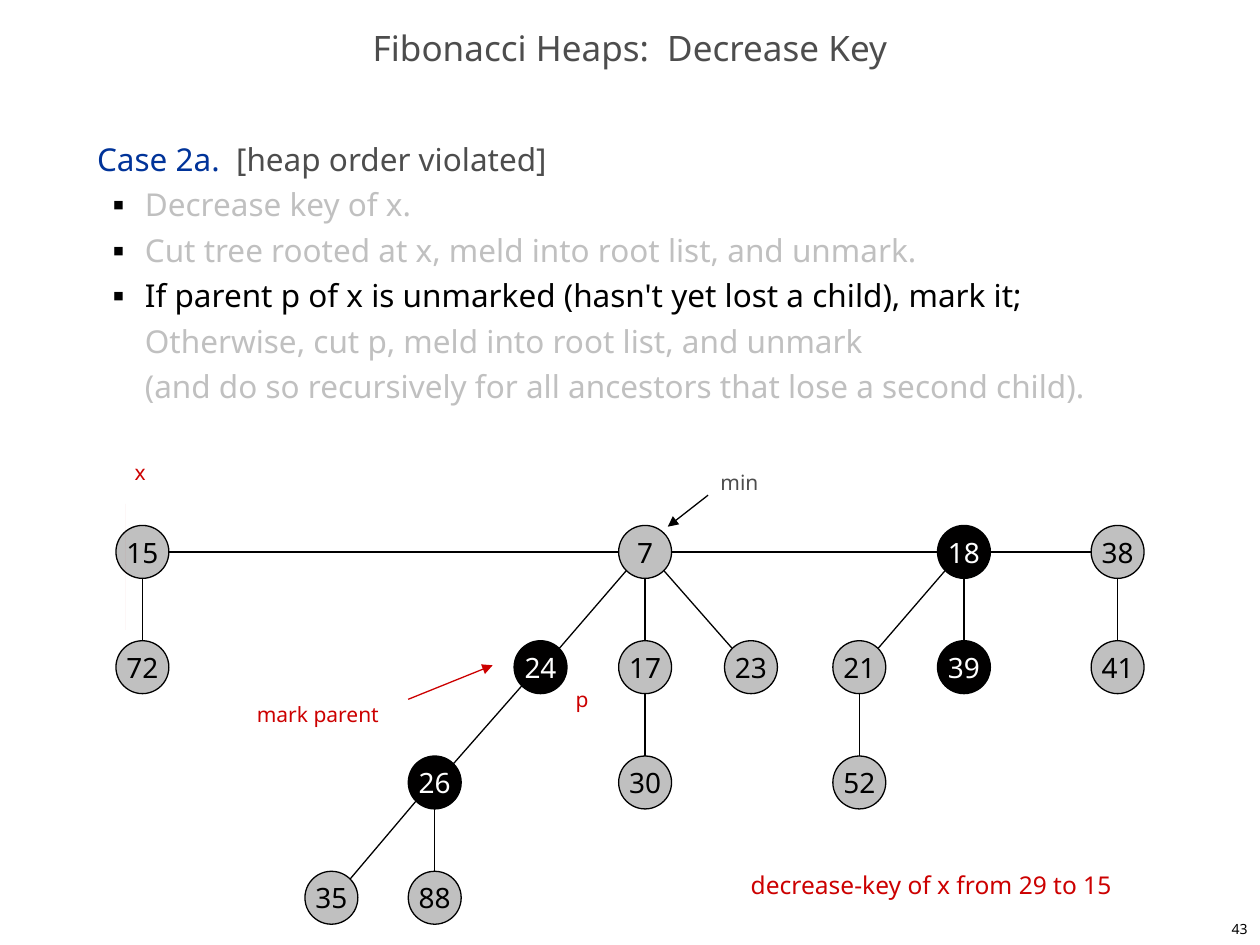
from dataclasses import dataclass

from lxml import etree
from pptx import Presentation
from pptx.dml.color import RGBColor as RGB
from pptx.enum.shapes import MSO_CONNECTOR as Link, MSO_SHAPE as Shape
from pptx.enum.text import MSO_ANCHOR as Anchor, MSO_AUTO_SIZE as Fit, PP_ALIGN as Align
from pptx.oxml.ns import qn
from pptx.util import Inches, Pt


@dataclass
class Theme:
    face: str = "Noto Sans"
    ink: str = "000000"
    gray: str = "4D4D4D"
    pale: str = "C0C0C0"
    blue: str = "003399"
    red: str = "CC0000"
    dark: str = "010000"
    white: str = "FFFFFF"
    title: int = 20
    body: int = 18
    node: int = 16
    note: int = 14
    label: int = 12
    page: int = 8


theme = Theme()
deck = Presentation()
deck.slide_width, deck.slide_height = Inches(10), Inches(7.5)
slide = deck.slides.add_slide(deck.slide_layouts[1])
shapes = slide.shapes


def style(run, size, color):
    run.font.name = theme.face
    run.font.size = Pt(size)
    run.font.color.rgb = RGB.from_string(color)


def draw(x1, y1, x2, y2, color=theme.ink, arrow=False):
    line = shapes.add_connector(Link.STRAIGHT, Inches(x1), Inches(y1), Inches(x2), Inches(y2))
    line.line.color.rgb = RGB.from_string(color)
    line.line.width = Pt(0.75)
    props = line._element.spPr
    if arrow:
        etree.SubElement(props.find(qn("a:ln")), qn("a:tailEnd"), type="triangle")
    etree.SubElement(props, qn("a:effectLst"))


# Title
title = shapes.title
title.left, title.top, title.width, title.height = Inches(0), Inches(0.17), Inches(10), Inches(0.5)
frame = title.text_frame
frame.text = "Fibonacci Heaps:  Decrease Key"
frame.auto_size = Fit.NONE
frame.vertical_anchor = Anchor.MIDDLE
para = frame.paragraphs[0]
para.alignment = Align.CENTER
para.line_spacing = 0.7
style(para.runs[0], theme.title, theme.gray)

# Body list: each paragraph is a list of colours, one for each run
body = slide.placeholders[1]
body.left, body.top, body.width, body.height = Inches(0.67), Inches(1), Inches(8.58), Inches(5.92)
frame = body.text_frame
frame.text = (
    "Case 2a.  \n"
    "Decrease key of x.\n"
    "Cut tree rooted at x, meld into root list, and unmark.\n"
    "If parent p of x is unmarked (hasn't yet lost a child), mark it;\v"
    "Otherwise, cut p, meld into root list, and unmark\v"
    "(and do so recursively for all ancestors that lose a second child)."
)
frame.auto_size = Fit.NONE
frame.vertical_anchor = Anchor.TOP
frame.paragraphs[0].add_run().text = "[heap order violated]"
tints = [
    [theme.blue, theme.gray],
    [theme.pale],
    [theme.pale],
    [theme.ink, theme.pale, theme.pale],
]
for row, (para, colors) in enumerate(zip(frame.paragraphs, tints)):
    para.line_spacing = Pt(26)
    para.space_before = para.space_after = Pt(0)
    props = para._p.get_or_add_pPr()
    if row == 0:
        props.set("marL", "0")
        props.set("indent", "0")
        etree.SubElement(props, qn("a:buNone"))
    else:
        para.level = 1
        props.set("marL", str(Inches(0.38)))
        props.set("indent", str(Inches(-0.25)))
        tint = etree.SubElement(props, qn("a:buClr"))
        etree.SubElement(tint, qn("a:srgbClr"), val=theme.ink)
        etree.SubElement(props, qn("a:buSzPct"), val="35000")
        etree.SubElement(props, qn("a:buFont"), typeface=theme.face)
        etree.SubElement(props, qn("a:buChar"), char="■")
    for run, color in zip(para.runs, colors):
        style(run, theme.body, color)

# Heap: key -> (centre x, depth); all levels are equally far apart
heap = {
    15: (1.13, 0), 7: (5.12, 0), 18: (7.65, 0), 38: (8.87, 0),
    72: (1.13, 1), 24: (4.29, 1), 17: (5.12, 1), 23: (5.96, 1),
    21: (6.82, 1), 39: (7.65, 1), 41: (8.87, 1),
    26: (3.45, 2), 30: (5.12, 2), 52: (6.82, 2),
    35: (2.63, 3), 88: (3.45, 3),
}
marked = {18, 24, 26, 39}
kids = {15: [72], 7: [24, 17, 23], 18: [21, 39], 38: [41],
        24: [26], 17: [30], 21: [52], 26: [35, 88]}
top, step, radius, slant = 4.38, 0.915, 0.21, 0.15
spots = {key: (x, top + step * depth) for key, (x, depth) in heap.items()}

# Root list
roots = [15, 7, 18, 38]
for left, right in zip(roots, roots[1:]):
    draw(spots[left][0] + radius, top, spots[right][0] - radius, top)

# Tree edges: straight down, or slanted between the circles' 45 degree points
for key, below in kids.items():
    x1, y1 = spots[key]
    for kid in below:
        x2, y2 = spots[kid]
        side = (x2 > x1) - (x2 < x1)
        dx, dy = side * slant, slant if side else radius
        draw(x1 + dx, y1 + dy, x2 - dx, y2 - dy)

# Nodes
for key, (x, y) in spots.items():
    node = shapes.add_shape(Shape.OVAL, Inches(x - radius), Inches(y - radius),
                            Inches(2 * radius), Inches(2 * radius))
    node.shadow.inherit = False
    node.fill.solid()
    node.fill.fore_color.rgb = RGB.from_string(theme.dark if key in marked else theme.pale)
    node.line.color.rgb = RGB.from_string(theme.ink)
    node.line.width = Pt(0.75)
    frame = node.text_frame
    frame.text = str(key)
    frame.word_wrap = False
    frame.vertical_anchor = Anchor.MIDDLE
    para = frame.paragraphs[0]
    para.alignment = Align.CENTER
    style(para.runs[0], theme.node, theme.white if key in marked else theme.ink)

# Highlight around x: a chain of Bezier curves, each with two controls and an end
start = (0.85, 4.13)
curves = [
    [(0.9, 4.11), (0.95, 4.08), (1, 4.07)],
    [(1.07, 4.02), (1.04, 4.03), (1.1, 4.01)],
    [(1.25, 4.02), (1.28, 4), (1.39, 4.06)],
    [(1.43, 4.11), (1.44, 4.15), (1.47, 4.2)],
    [(1.47, 4.33), (1.53, 4.59), (1.36, 4.63)],
    [(1.26, 4.69), (1.14, 4.7), (1.03, 4.72)],
    [(0.95, 4.71), (0.86, 4.73), (0.81, 4.66)],
    [(0.78, 4.57), (0.77, 4.56), (0.76, 4.44)],
    [(0.78, 4.36), (0.8, 4.29), (0.82, 4.21)],
    [(0.83, 4.18), (0.85, 4.16), (0.85, 4.13)],
]
dots, last, parts = [], start, 8
for one, two, end in curves:
    for t in (n / parts for n in range(1, parts + 1)):
        dots.append(tuple(
            (1 - t) ** 3 * a + 3 * t * (1 - t) ** 2 * b + 3 * t ** 2 * (1 - t) * c + t ** 3 * d
            for a, b, c, d in zip(last, one, two, end)))
    last = end
pen = shapes.build_freeform(*start, scale=Inches(1))
pen.add_line_segments(dots, close=True)
blob = pen.convert_to_shape()
blob.shadow.inherit = False
blob.fill.solid()
blob.fill.fore_color.rgb = RGB.from_string(theme.red)
tint = blob._element.spPr.find(qn("a:solidFill"))[0]
etree.SubElement(tint, qn("a:alpha"), val="25000")
blob.line.fill.background()

# Pointers
draw(5.62, 3.93, 5.3, 4.18, arrow=True)
draw(3.24, 5.55, 3.91, 5.28, theme.red, arrow=True)

# Labels and page number
labels = [
    ("x", 0.97, 3.6, 0.3, 0.3, theme.label, theme.red),
    ("min", 5.62, 3.68, 0.5, 0.3, theme.label, theme.gray),
    ("p", 4.47, 5.4, 0.3, 0.3, theme.label, theme.red),
    ("mark parent", 1.94, 5.52, 1.31, 0.3, theme.label, theme.red),
    ("decrease-key of x from 29 to 15", 5.86, 6.86, 3.84, 0.34, theme.note, theme.red),
    ("43", 7.92, 7.25, 2.08, 0.25, theme.page, theme.ink),
]
for text, x, y, wide, high, size, color in labels:
    box = shapes.add_textbox(Inches(x), Inches(y), Inches(wide), Inches(high))
    frame = box.text_frame
    frame.text = text
    frame.word_wrap = False
    para = frame.paragraphs[0]
    para.alignment = Align.LEFT
    style(para.runs[0], size, color)
frame.vertical_anchor = Anchor.MIDDLE
para.alignment = Align.RIGHT

deck.save("out.pptx")
